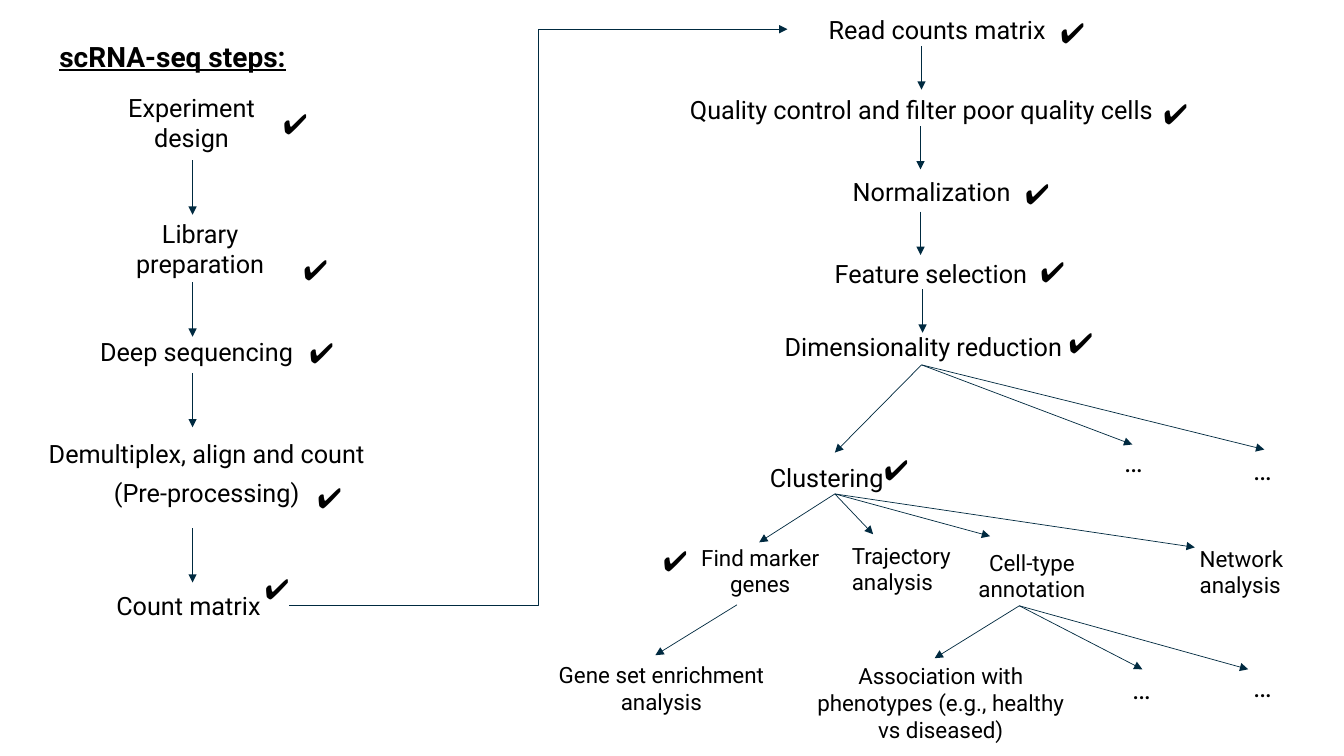
from pptx import Presentation
from pptx.dml.color import RGBColor
from pptx.enum.shapes import MSO_CONNECTOR
from pptx.enum.text import MSO_ANCHOR, PP_ALIGN
from pptx.oxml.ns import qn
from pptx.util import Pt
from lxml import etree

EMU_PER_PX = 9144
SLIDE_SIZE = (1333, 750)
FONT = "Roboto"
COLORS = {"text": "000000", "arrow": "002A40"}
STRAIGHT, ELBOW = MSO_CONNECTOR.STRAIGHT, MSO_CONNECTOR.ELBOW
MIDDLE = MSO_ANCHOR.MIDDLE
LEFT, CENTER = PP_ALIGN.LEFT, PP_ALIGN.CENTER


def px(value):
    return value * EMU_PER_PX


def add_text(slide, origin, box, text, size=18, align=CENTER,
             bold=False, underline=False):
    left, top, width, height = box
    shape = slide.shapes.add_textbox(px(origin[0] + left), px(origin[1] + top),
                                     px(width), px(height))
    frame = shape.text_frame
    frame.word_wrap = True
    frame.vertical_anchor = MIDDLE
    frame.text = text
    for paragraph in frame.paragraphs:
        paragraph.alignment = align
        paragraph.space_after = Pt(6)
        for run in paragraph.runs:
            font = run.font
            font.name = FONT
            font.size = Pt(size)
            font.bold = bold
            font.underline = underline
            font.color.rgb = RGBColor.from_string(COLORS["text"])


def add_arrow(slide, origin, start, end, kind=STRAIGHT):
    left, top = origin
    connector = slide.shapes.add_connector(
        kind, px(left + start[0]), px(top + start[1]),
        px(left + end[0]), px(top + end[1]))
    connector.line.width = Pt(0.5)
    connector.line.color.rgb = RGBColor.from_string(COLORS["arrow"])
    properties = connector._element.spPr
    line = properties.find(qn("a:ln"))
    etree.SubElement(line, qn("a:tailEnd"), type="triangle")
    etree.SubElement(properties, qn("a:effectLst"))


def add_fan(slide, origin, start, ends):
    for end in ends:
        add_arrow(slide, origin, start, end)


def add_checks(slide, origin, corners):
    for left, top in corners:
        add_text(slide, origin, (left, top, 100, 56), "✔\ufe0f",
                 size=20, align=LEFT)


def add_ellipses(slide, origin, corners):
    for left, top in corners:
        add_text(slide, origin, (left, top, 80, 40), "…", size=20, align=LEFT)


def add_laboratory_steps(slide, origin):
    add_text(slide, origin, (49, 32, 376, 47), "scRNA-seq steps:",
             size=20, align=LEFT, bold=True, underline=True)
    add_text(slide, origin, (90, 97, 200, 49), "Experiment design")
    add_text(slide, origin, (116, 222, 165, 49), "Library preparation")
    for left, top, text in (
            (25, 299, "Deep sequencing"),
            (35, 419, "Demultiplex, align and count\n(Pre-processing)"),
            (17, 551, "Count matrix")):
        add_text(slide, origin, (left, top, 340, 100), text)
    for top in (159, 280, 370, 524):
        add_arrow(slide, origin, (191, top), (191, top + 54))
    add_checks(slide, origin, [(271, 94), (291, 239), (297, 322),
                               (305, 465), (253, 556)])


def add_main_analysis(slide, origin):
    for left, top, text, align in (
            (312, -21, "Read counts matrix", LEFT),
            (164, 59, "Quality control and filter poor quality cells", CENTER),
            (174, 140, "Normalization", CENTER),
            (318, 221, "Feature selection", LEFT),
            (166, 294, "Dimensionality reduction", CENTER),
            (70, 424, "Clustering", CENTER)):
        add_text(slide, origin, (left, top, 500, 100), text, align=align)
    for left, top in ((414, 46), (413, 125), (413, 210), (415, 287)):
        add_arrow(slide, origin, (left, top), (left, top + 43))
    add_fan(slide, origin, (414, 362), [(328, 449), (623, 441), (754, 446)])
    add_ellipses(slide, origin, [(605, 438), (733, 446)])
    add_checks(slide, origin, [(542, 4), (644, 84), (507, 164),
                               (522, 241), (550, 312), (367, 438)])


def add_cluster_analyses(slide, origin):
    for box, text, align in (
            ((163, 45, 182, 62), "Find marker genes", CENTER),
            ((335, 54, 155, 40), "Trajectory analysis", LEFT),
            ((451, 61, 145, 40), "Cell-type annotation", CENTER),
            ((680, 27, 146, 100), "Network analysis", LEFT),
            ((20, 143, 272, 100), "Gene set enrichment analysis", CENTER),
            ((297, 157, 272, 100),
             "Association with phenotypes (e.g., healthy vs diseased)", CENTER)):
        add_text(slide, origin, box, text, size=16, align=align)
    add_fan(slide, origin, (328, 0),
            [(253, 48), (366, 40), (482, 42), (685, 53)])
    add_arrow(slide, origin, (231, 110), (150, 160))
    add_fan(slide, origin, (511, 111), [(427, 163), (633, 174), (738, 174)])
    add_ellipses(slide, origin, [(613, 173), (733, 171)])
    add_checks(slide, origin, [(148, 38)])


def main():
    presentation = Presentation()
    presentation.slide_width, presentation.slide_height = map(px, SLIDE_SIZE)
    slide = presentation.slides.add_slide(presentation.slide_layouts[6])
    add_laboratory_steps(slide, (0, 0))
    add_main_analysis(slide, (500, 0))
    add_cluster_analyses(slide, (500, 490))
    add_arrow(slide, (0, 0), (287, 601), (781, 29), kind=ELBOW)
    presentation.save("out.pptx")


if __name__ == "__main__":
    main()
